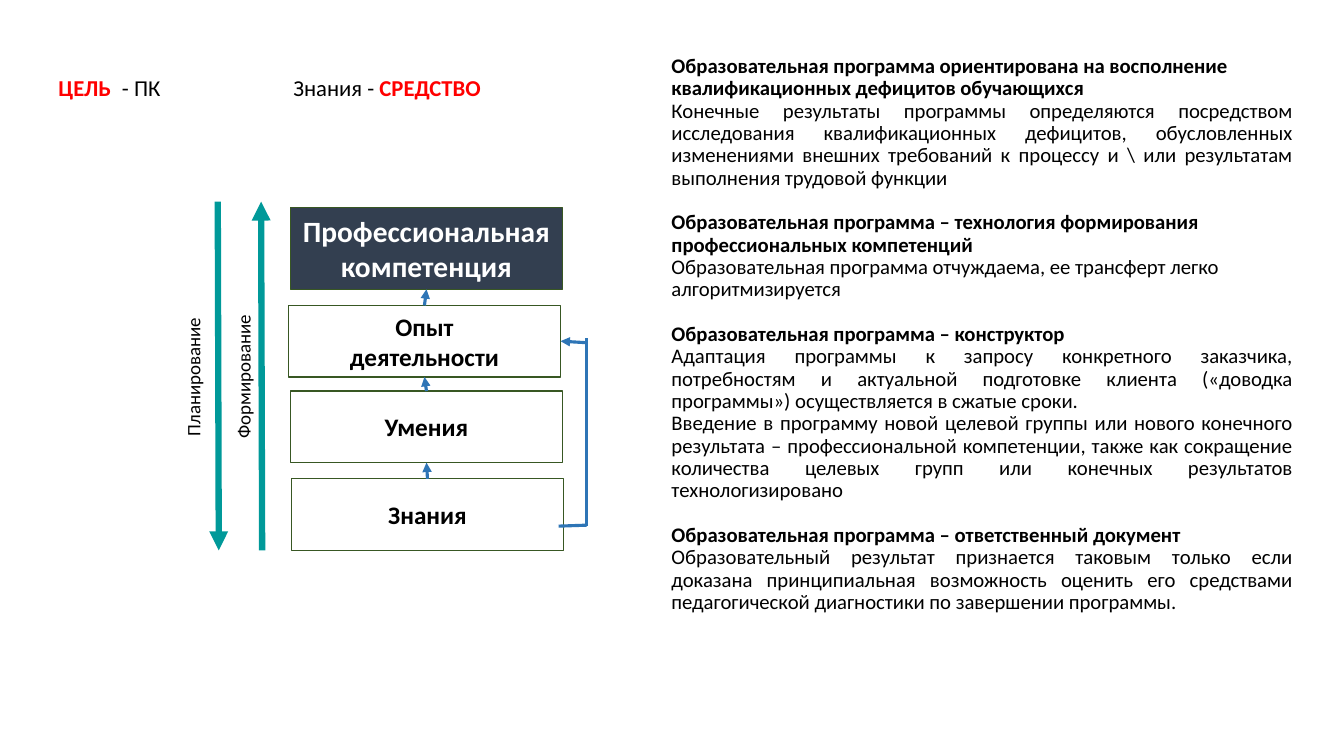
from lxml import etree
from pptx import Presentation
from pptx.dml.color import RGBColor
from pptx.enum.shapes import MSO_CONNECTOR, MSO_SHAPE
from pptx.enum.text import MSO_ANCHOR, MSO_AUTO_SIZE, PP_ALIGN
from pptx.oxml.ns import qn
from pptx.util import Inches, Pt

RECTANGLE = MSO_SHAPE.RECTANGLE
STRAIGHT = MSO_CONNECTOR.STRAIGHT
LEFT, CENTER, JUSTIFY = PP_ALIGN.LEFT, PP_ALIGN.CENTER, PP_ALIGN.JUSTIFY
MIDDLE, BOTTOM, TOP = MSO_ANCHOR.MIDDLE, MSO_ANCHOR.BOTTOM, MSO_ANCHOR.TOP
NO_AUTOFIT = MSO_AUTO_SIZE.NONE
BLUE, TEAL = "2E75B6", "009999"


def add_text(paragraph, text, size, color="000000", bold=False):
    run = paragraph.add_run()
    run.text = text
    run.font.name = "Calibri"
    run.font.size = Pt(size)
    run.font.bold = bold
    run.font.color.rgb = RGBColor.from_string(color)


def add_line(start, end, color, width, arrow=True):
    line = slide.shapes.add_connector(STRAIGHT, *[Inches(v) for v in start + end])
    line.line.color.rgb = RGBColor.from_string(color)
    line.line.width = Pt(width)
    if arrow:
        etree.SubElement(line.line._get_or_add_ln(), qn("a:tailEnd"), type="triangle")
    etree.SubElement(line.element.spPr, qn("a:effectLst"))
    return line


prs = Presentation()
prs.slide_width, prs.slide_height = Inches(13.33), Inches(7.5)
slide = prs.slides.add_slide(prs.slide_layouts[1])

# Heading: goal and means, spaced by tab stops
heading = slide.shapes.title
heading.left, heading.top = Inches(0.48), Inches(0.5)
heading.width, heading.height = Inches(4.74), Inches(0.56)
heading.text_frame.auto_size = NO_AUTOFIT
heading.text_frame.vertical_anchor = BOTTOM
goal_means = heading.text_frame.paragraphs[0]
goal_means.alignment = LEFT
goal_means.line_spacing = 0.9
for text, color, bold in [
    ("ЦЕЛЬ", "FF0000", True),
    ("\t- ПК\tЗнания - ", "000000", False),
    ("СРЕДСТВО", "FF0000", True),
]:
    add_text(goal_means, text, 16.2, color, bold)
tab_stops = etree.SubElement(goal_means._p.get_or_add_pPr(), qn("a:tabLst"))
for position in (0.63, 2.33):
    etree.SubElement(tab_stops, qn("a:tab"), pos=str(Inches(position)), algn="l")

# Programme features: bold headings, each followed by its statements
features = [
    ("Образовательная программа ориентирована на восполнение квалификационных дефицитов обучающихся", [
        ("Конечные результаты программы определяются посредством исследования квалификационных "
         "дефицитов, обусловленных изменениями внешних требований к процессу и \\ или результатам "
         "выполнения трудовой функции", JUSTIFY)]),
    ("Образовательная программа – технология формирования профессиональных компетенций", [
        ("Образовательная программа отчуждаема, ее трансферт легко алгоритмизируется", LEFT)]),
    ("Образовательная программа – конструктор", [
        ("Адаптация программы к запросу конкретного заказчика, потребностям и актуальной подготовке "
         "клиента («доводка программы») осуществляется в сжатые сроки.", JUSTIFY),
        ("Введение в программу новой целевой группы или нового конечного результата – "
         "профессиональной компетенции, также как сокращение количества целевых групп или конечных "
         "результатов технологизировано", JUSTIFY)]),
    ("Образовательная программа – ответственный документ", [
        ("Образовательный результат признается таковым только если доказана принципиальная "
         "возможность оценить его средствами педагогической диагностики по завершении программы.",
         JUSTIFY)]),
]
description = slide.placeholders[1]
description.left, description.top = Inches(6.56), Inches(0.5)
description.width, description.height = Inches(6.36), Inches(6.34)
description.text_frame.auto_size = NO_AUTOFIT
description.text_frame.vertical_anchor = TOP
paragraph = description.text_frame.paragraphs[0]
for number, (feature, statements) in enumerate(features):
    for order, (text, alignment) in enumerate([(feature, LEFT)] + statements):
        if number or order:
            paragraph = description.text_frame.add_paragraph()
        paragraph.alignment = alignment
        paragraph.line_spacing = 0.9
        paragraph.space_before = Pt(16 if number and not order else 0)
        add_text(paragraph, text, 14.8, bold=order == 0)
        properties = paragraph._p.get_or_add_pPr()
        properties.set("marL", "0")
        properties.set("indent", "0")
        etree.SubElement(properties, qn("a:buNone"))

# Competence ladder, from the base up
levels = [
    (["Знания"], 2.89, 4.75, 0.71, "FFFFFF", "000000", 18),
    (["Умения"], 2.88, 3.88, 0.71, "FFFFFF", "000000", 18),
    (["Опыт", "деятельности"], 2.86, 3.03, 0.71, "FFFFFF", "000000", 18),
    (["Профессиональная", "компетенция"], 2.88, 2.06, 0.81, "333F50", "FFFFFF", 21),
]
ladder = []
for words, left, top, height, fill, color, size in levels:
    level = slide.shapes.add_shape(RECTANGLE, Inches(left), Inches(top), Inches(2.7), Inches(height))
    level.shadow.inherit = False
    level.fill.solid()
    level.fill.fore_color.rgb = RGBColor.from_string(fill)
    level.line.color.rgb = RGBColor.from_string("385723")
    level.line.width = Pt(1)
    frame = level.text_frame
    frame.word_wrap = True
    frame.vertical_anchor = MIDDLE
    frame.margin_left = frame.margin_right = Inches(0.05)
    frame.paragraphs[0].alignment = CENTER
    for order, word in enumerate(words):
        if order:
            frame.paragraphs[0].add_line_break()
        add_text(frame.paragraphs[0], word, size, color, True)
    ladder.append(level)

# Steps from each level to the next
for lower, upper in zip(ladder, ladder[1:]):
    step = add_line((4.23, 4), (4.23, 3), BLUE, 2.25)
    step.begin_connect(lower, 0)
    step.end_connect(upper, 2)

# Bypass from knowledge straight to experience
add_line((5.82, 5.21), (5.54, 5.22), BLUE, 2.25, arrow=False)
add_line((5.82, 5.22), (5.82, 3.35), BLUE, 2.25, arrow=False)
bypass = add_line((5.82, 3.4), (5.55, 3.42), BLUE, 2.25)
bypass.end_connect(ladder[2], 3)

# Directions of planning and formation
for direction, left, top, height, start, end in [
    ("Планирование", 1.75, 2.48, 2.52, (2.16, 2), (2.17, 5.46)),
    ("Формирование", 2.25, 2.14, 3.19, (2.6, 5.46), (2.59, 2)),
]:
    add_line(start, end, TEAL, 4.5)
    label = slide.shapes.add_textbox(Inches(left), Inches(top), Inches(0.43), Inches(height))
    label.text_frame.word_wrap = True
    label.element.txBody.bodyPr.set("vert", "vert270")
    label.text_frame.paragraphs[0].alignment = CENTER
    add_text(label.text_frame.paragraphs[0], direction, 13.5)

prs.save("out.pptx")
